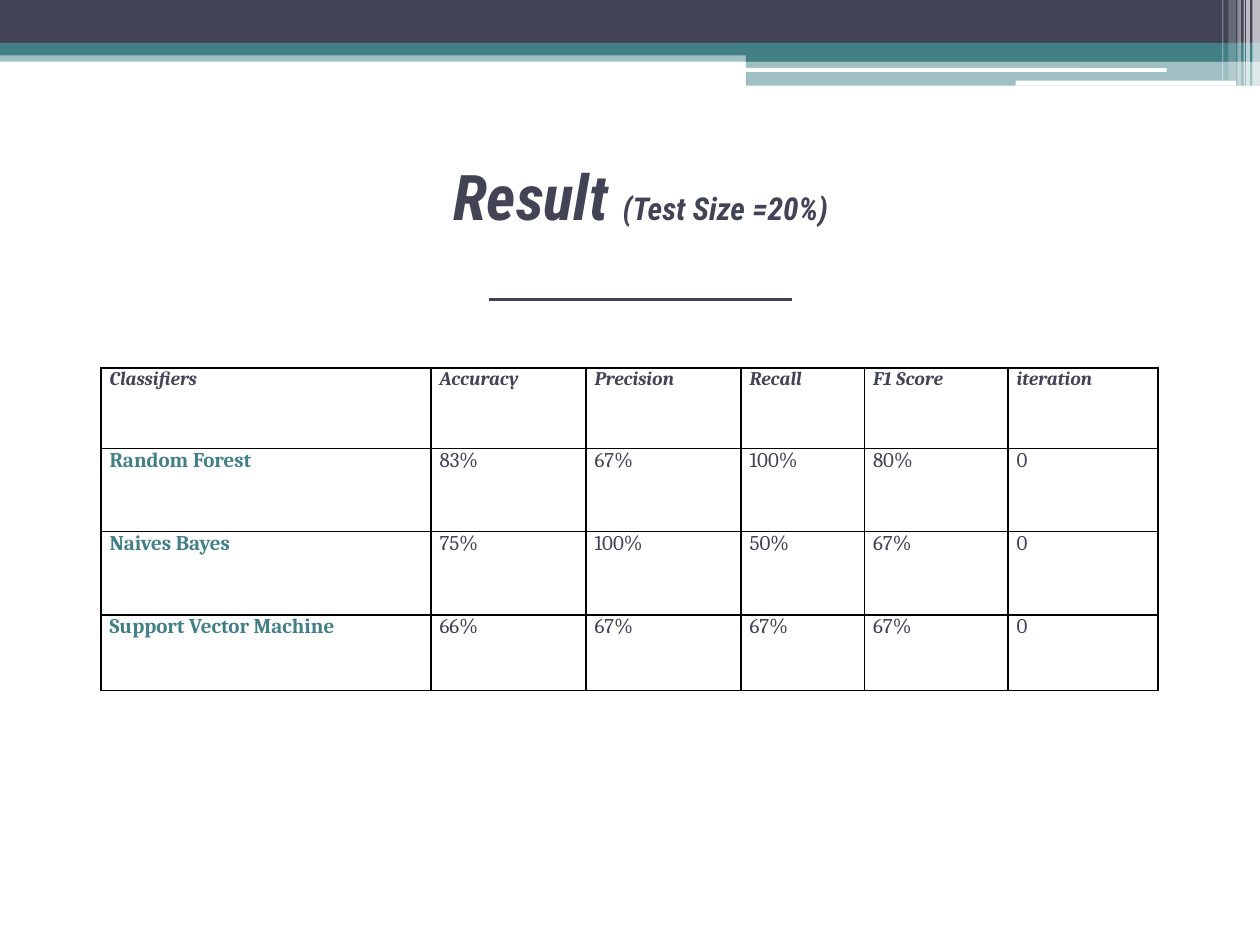
from lxml import etree
from pptx import Presentation
from pptx.dml.color import RGBColor
from pptx.enum.shapes import MSO_CONNECTOR, MSO_SHAPE
from pptx.enum.text import MSO_ANCHOR, PP_ALIGN
from pptx.oxml.ns import qn
from pptx.util import Inches, Pt

RECT, ROUNDED = MSO_SHAPE.RECTANGLE, MSO_SHAPE.ROUNDED_RECTANGLE
STRAIGHT = MSO_CONNECTOR.STRAIGHT
TOP, CENTER = MSO_ANCHOR.TOP, PP_ALIGN.CENTER
INK, TEAL, WHITE, BLACK = "424456", "438086", "FFFFFF", "000000"
TITLE_FONT, TABLE_FONT = "Roboto Condensed", "Cambria"

RESULTS = [
    ["Classifiers", "Accuracy", "Precision", "Recall", "F1 Score", "iteration"],
    ["Random Forest", "83%", "67%", "100%", "80%", "0"],
    ["Naives Bayes", "75%", "100%", "50%", "67%", "0"],
    ["Support Vector Machine ", "66%", "67%", "67%", "67%", "0"],
]
COLUMN_WIDTHS = [2.62, 1.23, 1.23, 0.98, 1.14, 1.19]
ROW_HEIGHTS = [0.64, 0.66, 0.66, 0.6]


def paint(color_format, color):
    """Set a fill or font colour from a hex string."""
    color_format.rgb = RGBColor.from_string(color)


def write(paragraph, text, *, size, font, color=INK, bold=False, italic=False):
    """Add a formatted run to a paragraph."""
    run = paragraph.add_run()
    run.text = text
    run.font.name, run.font.size = font, Pt(size)
    run.font.bold, run.font.italic = bold, italic
    paint(run.font.color, color)


def add_bar(slide, box, color, opacity=100, kind=RECT):
    """Add a borderless bar, optionally see-through."""
    bar = slide.shapes.add_shape(kind, *map(Inches, box))
    bar.shadow.inherit = False
    bar.line.fill.background()
    bar.fill.solid()
    paint(bar.fill.fore_color, color)
    if opacity < 100:
        tint = bar.fill._xPr.find(qn("a:solidFill"))[0]
        etree.SubElement(tint, qn("a:alpha"), val=str(opacity * 1000))


def add_banner(slide, left, top, width):
    """Draw the banner with its stepped tab and right-hand stripes."""
    tab, tab_width = left + 5.92, width - 5.92
    add_bar(slide, (left, top + 0.4, width, 0.09), TEAL, 50)
    add_bar(slide, (left, top, width, 0.34), INK)
    add_bar(slide, (left, top + 0.34, width, 0.1), TEAL)
    add_bar(slide, (tab, top + 0.39, tab_width, 0.1), TEAL)
    add_bar(slide, (tab, top + 0.48, tab_width, 0.2), TEAL, 50)
    add_bar(slide, (tab - 0.01, top + 0.54, 3.35, 0.03), WHITE, kind=ROUNDED)
    add_bar(slide, (tab + 2.14, top + 0.64, 1.75, 0.04), WHITE, kind=ROUNDED)
    stripes = [  # distance from right edge, width, height, opacity
        (0.06, 0.06, 0.68, 65), (0.11, 0.03, 0.68, 65), (0.13, 0.01, 0.68, 60),
        (0.18, 0.03, 0.68, 40), (0.25, 0.06, 0.64, 20), (0.3, 0.01, 0.64, 30),
    ]
    for inset, stripe_width, height, opacity in stripes:
        add_bar(slide, (left + width - inset, top, stripe_width, height), WHITE, opacity)


def add_heading(slide, left, top, width, height):
    """Fill the title placeholder and draw the rule beneath it."""
    heading = slide.shapes.title
    heading.left, heading.top = Inches(left), Inches(top)
    heading.width, heading.height = Inches(width), Inches(height)
    frame = heading.text_frame
    frame.word_wrap, frame.vertical_anchor = True, TOP
    frame.margin_top = frame.margin_bottom = 0
    paragraph = frame.paragraphs[0]
    paragraph.alignment = CENTER
    style = {"font": TITLE_FONT, "bold": True, "italic": True}
    write(paragraph, "Result ", size=36, **style)
    write(paragraph, "(Test Size =20%)", size=18, **style)

    middle, rule_y, half = left + width / 2, top + 1.13, 1.2
    rule = slide.shapes.add_connector(
        STRAIGHT, Inches(middle - half), Inches(rule_y), Inches(middle + half), Inches(rule_y))
    rule.line.width = Pt(1.75)
    paint(rule.line.color, INK)
    etree.SubElement(rule._element.spPr, qn("a:effectLst"))


def outline_cell(cell):
    """Give a cell a thin black border on all four sides."""
    properties = cell._tc.get_or_add_tcPr()
    for side in ("a:lnL", "a:lnR", "a:lnT", "a:lnB"):
        border = etree.SubElement(properties, qn(side), w=str(Pt(1)))
        fill = etree.SubElement(border, qn("a:solidFill"))
        etree.SubElement(fill, qn("a:srgbClr"), val=BLACK)


def add_results(slide, left, top):
    """Build the table of classifier scores."""
    table = slide.shapes.add_table(
        len(RESULTS), len(COLUMN_WIDTHS), Inches(left), Inches(top),
        Inches(sum(COLUMN_WIDTHS)), Inches(sum(ROW_HEIGHTS))).table
    table.first_row = table.horz_banding = False
    for column, width in zip(table.columns, COLUMN_WIDTHS):
        column.width = Inches(width)
    for row, height in zip(table.rows, ROW_HEIGHTS):
        row.height = Inches(height)
    for r, scores in enumerate(RESULTS):
        for c, score in enumerate(scores):
            cell = table.cell(r, c)
            outline_cell(cell)
            cell.fill.background()
            cell.margin_left = cell.margin_right = Inches(0.07)
            cell.margin_top = cell.margin_bottom = 0
            paragraph = cell.text_frame.paragraphs[0]
            paragraph.line_spacing, paragraph.space_before = 1.01, Pt(9.7)
            header, classifier = r == 0, r > 0 and c == 0
            write(paragraph, score, size=11 if header else 12, font=TABLE_FONT,
                  color=TEAL if classifier else INK,
                  bold=header or classifier, italic=header)


def main():
    """Build and save the result slide."""
    deck = Presentation()
    deck.slide_width, deck.slide_height = Inches(10), Inches(7.5)
    slide = deck.slides.add_slide(deck.slide_layouts[5])
    add_banner(slide, 0, 0, 10)
    add_results(slide, 0.8, 2.92)
    add_heading(slide, 0.5, 1.25, 9.17, 1.17)
    deck.save("out.pptx")


main()
